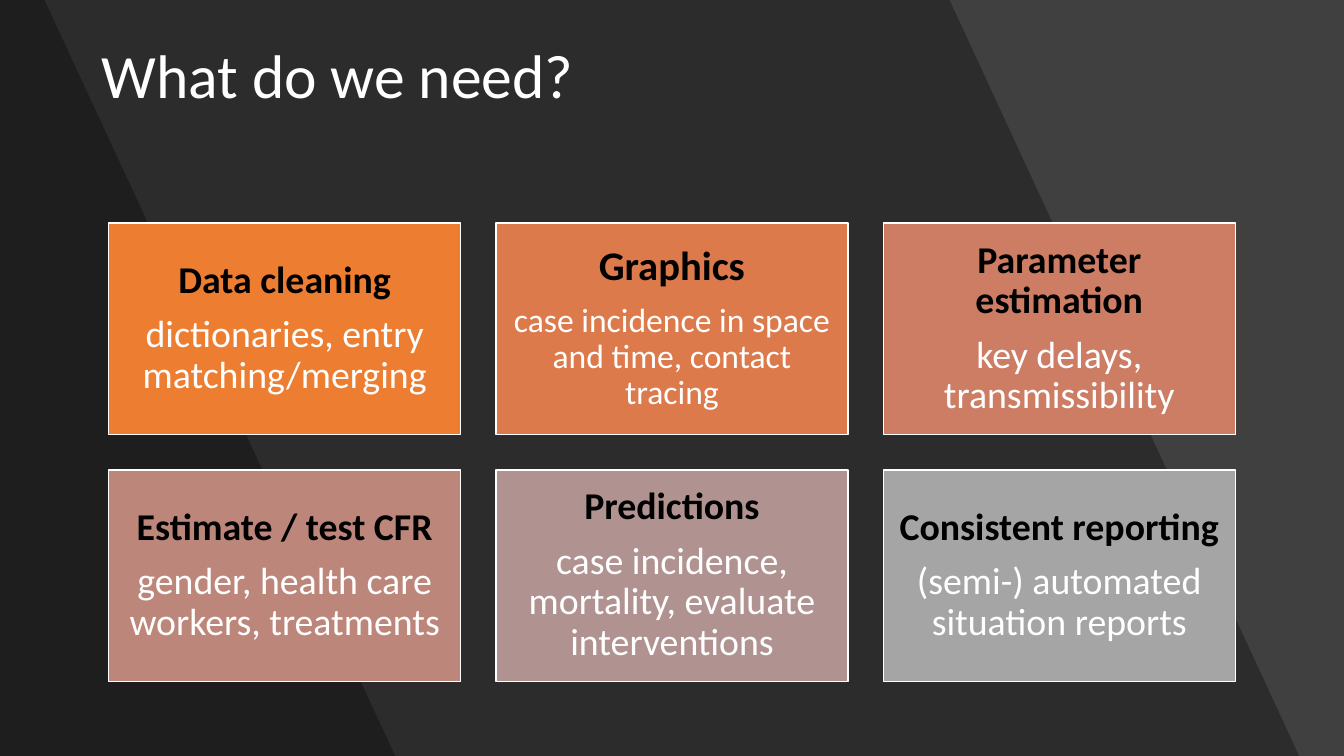
"""Builds the slide "What do we need?" with six topic cards on a dark background."""
from lxml.etree import SubElement
from pptx import Presentation
from pptx.dml.color import RGBColor
from pptx.enum.shapes import MSO_SHAPE
from pptx.enum.text import MSO_ANCHOR, PP_ALIGN
from pptx.oxml.ns import qn
from pptx.util import Cm, Pt

WIDTH, HEIGHT = 33.87, 19.05
COLUMNS = 3
CARDS = [
    ("Data cleaning", "dictionaries, entry matching/merging", "ED7D31", 27, 27),
    ("Graphics", "case incidence in space and time, contact tracing", "DC7A4B", 29, 24),
    ("Parameter estimation", "key delays, transmissibility", "CC7D64", 27, 27),
    ("Estimate / test CFR", "gender, health care workers, treatments", "BD867B", 27, 27),
    ("Predictions", "case incidence, mortality, evaluate interventions", "B09391", 27, 27),
    ("Consistent reporting", "(semi-) automated situation reports", "A5A5A5", 27, 27),
]


def rgb(code):
    return RGBColor.from_string(code)


def write(paragraph, text, size, color="FFFFFF", bold=False, align=PP_ALIGN.LEFT, before=0):
    paragraph.alignment = align
    paragraph.line_spacing = 0.9
    if before:
        paragraph.space_before = Pt(before)
    run = paragraph.add_run()
    run.text = text
    run.font.name = "Calibri"
    run.font.size = Pt(size)
    run.font.bold = bold
    run.font.color.rgb = rgb(color)


class Deck:
    """Holds the presentation, its current slide and the shared style."""

    def __init__(self, background):
        self.presentation = Presentation()
        self.presentation.slide_width = Cm(WIDTH)
        self.presentation.slide_height = Cm(HEIGHT)
        self.slide = self.presentation.slides.add_slide(self.presentation.slide_layouts[6])
        self.slide.background.fill.solid()
        self.slide.background.fill.fore_color.rgb = rgb(background)

    def shade(self, top_edge, bottom_edge, opacity=30):
        outline = self.slide.shapes.build_freeform(0, 0, scale=1.0)
        corners = [(top_edge, 0), (bottom_edge, HEIGHT), (0, HEIGHT)]
        outline.add_line_segments([(Cm(x), Cm(y)) for x, y in corners], close=True)
        band = outline.convert_to_shape()
        band.shadow.inherit = False
        band.line.fill.background()
        band.fill.solid()
        band.fill.fore_color.rgb = rgb("000000")
        color = band.fill._xPr.find(qn("a:solidFill"))[0]
        SubElement(color, qn("a:alpha"), val=str(opacity * 1000))

    def title(self, text, left, top, width, height):
        heading = self.slide.shapes.add_textbox(Cm(left), Cm(top), Cm(width), Cm(height))
        heading.text_frame.word_wrap = True
        write(heading.text_frame.paragraphs[0], text, size=44)

    def card(self, topic, details, fill, topic_size, details_size, left, top, width, height):
        card = self.slide.shapes.add_shape(
            MSO_SHAPE.RECTANGLE, Cm(left), Cm(top), Cm(width), Cm(height))
        card.shadow.inherit = False
        card.fill.solid()
        card.fill.fore_color.rgb = rgb(fill)
        card.line.color.rgb = rgb("FFFFFF")
        card.line.width = Pt(1)
        frame = card.text_frame
        frame.word_wrap = True
        frame.vertical_anchor = MSO_ANCHOR.MIDDLE
        frame.margin_left = frame.margin_right = Cm(0.28)
        frame.margin_top = frame.margin_bottom = Cm(0.28)
        write(frame.paragraphs[0], topic, size=topic_size, color="000000", bold=True,
              align=PP_ALIGN.CENTER)
        write(frame.add_paragraph(), details, size=details_size, align=PP_ALIGN.CENTER,
              before=round(topic_size * 0.35, 1))


def main():
    deck = Deck(background="404040")
    deck.shade(top_edge=23.93, bottom_edge=32.74)
    deck.shade(top_edge=1.12, bottom_edge=9.96)
    deck.title("What do we need?", 2.31, 1.02, 29.24, 3.68)
    width, height, gap = 8.87, 5.33, 0.89
    for index, content in enumerate(CARDS):
        row, column = divmod(index, COLUMNS)
        deck.card(*content, left=2.74 + column * (width + gap),
                  top=5.62 + row * (height + gap), width=width, height=height)
    deck.presentation.save("out.pptx")


if __name__ == "__main__":
    main()
